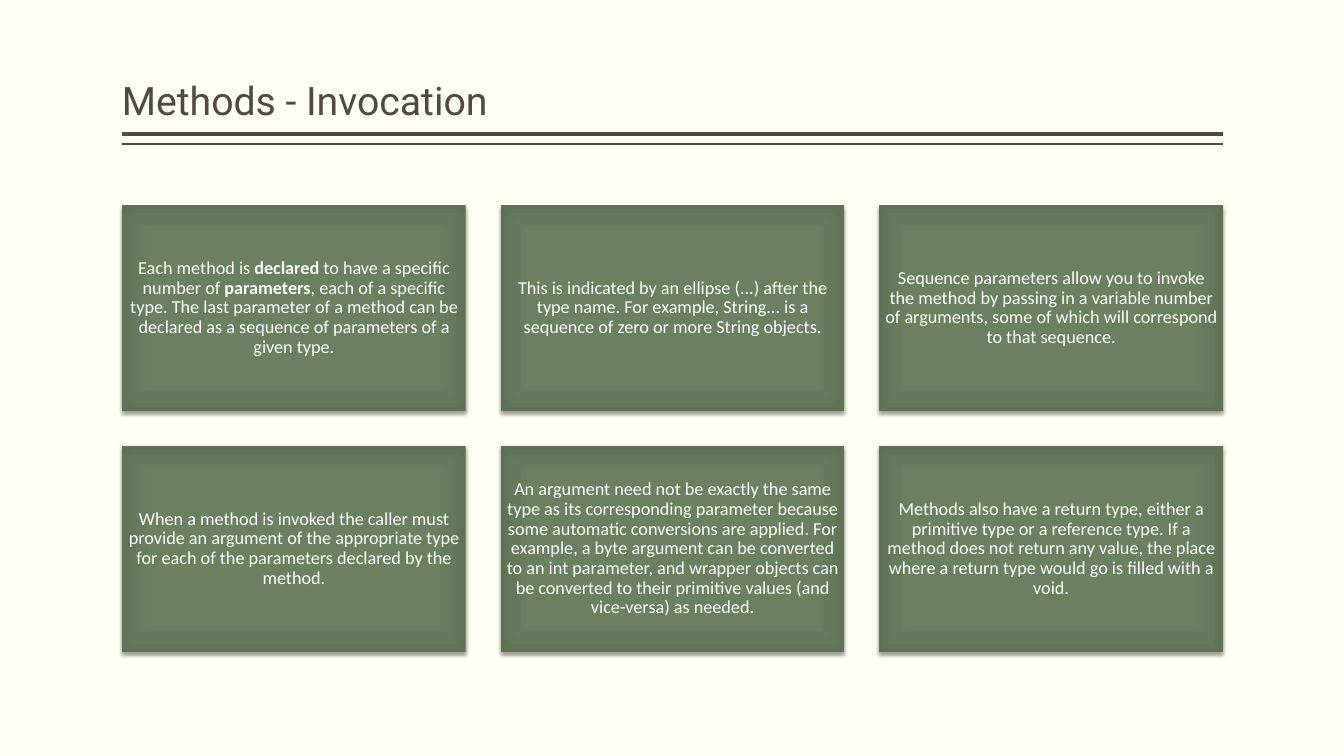
from pptx import Presentation
from pptx.dml.color import RGBColor
from pptx.enum.shapes import MSO_CONNECTOR, MSO_SHAPE
from pptx.enum.text import MSO_ANCHOR, MSO_AUTO_SIZE, PP_ALIGN
from pptx.oxml import parse_xml
from pptx.oxml.ns import nsdecls, qn
from pptx.util import Inches, Pt
from lxml.etree import SubElement

COLORS = {
    "paper": "FFFFF3", "ink": "514843", "white": "FFFFFF", "shadow": "000000",
    "center": "6B8162", "middle": "6A8061", "edge": "5F7256",
}
LEFT, WIDTH = 1.21, 10.92
GRID_TOP, CARD_W, CARD_H = 2.03, 3.41, 2.05
COLUMNS = 3
COL_STEP = (WIDTH - CARD_W) / (COLUMNS - 1)
ROW_STEP = 2.39

# Each card is a list of (text, bold) runs.
CARDS = [
    [("Each method is ", False), ("declared ", True),
     ("to have a specific number of ", False), ("parameters", True),
     (", each of a specific type. The last parameter of a method can be "
      "declared as a sequence of parameters of a given type.", False)],
    [("This is indicated by an ellipse (...) after the type name. For example, "
      "String... is a sequence of zero or more String objects.", False)],
    [("Sequence parameters allow you to invoke the method by passing in a "
      "variable number of arguments, some of which will correspond to that "
      "sequence.", False)],
    [("When a method is invoked the caller must provide an argument of the "
      "appropriate type for each of the parameters declared by the method.", False)],
    [("An argument need not be exactly the same type as its corresponding "
      "parameter because some automatic conversions are applied. For example, "
      "a byte argument can be converted to an int parameter, and wrapper "
      "objects can be converted to their primitive values (and vice-versa) "
      "as needed.", False)],
    [("Methods also have a return type, either a primitive type or a reference "
      "type. If a method does not return any value, the place where a return "
      "type would go is filled with a void.", False)],
]


def rgb(name):
    return RGBColor.from_string(COLORS[name])


class Deck:
    def __init__(self):
        self.prs = Presentation()
        self.prs.slide_width, self.prs.slide_height = Inches(13.33), Inches(7.5)
        self.slide = None

    def add_slide(self):
        self.slide = self.prs.slides.add_slide(self.prs.slide_layouts[5])
        fill = self.slide.background.fill
        fill.solid()
        fill.fore_color.rgb = rgb("paper")

    def add_run(self, p, text, font, size, color, bold=False):
        r = p.add_run()
        r.text = text
        r.font.name, r.font.size, r.font.bold = font, Pt(size), bold
        r.font.color.rgb = rgb(color)

    def frame(self, tf, anchor, inset_x):
        """Set wrapping, anchor and insets, and return the first paragraph."""
        tf.word_wrap, tf.auto_size = True, MSO_AUTO_SIZE.NONE
        tf.vertical_anchor = anchor
        tf.margin_left = tf.margin_right = Inches(inset_x)
        tf.margin_top = tf.margin_bottom = Inches(0.05)
        p = tf.paragraphs[0]
        p.line_spacing = 0.9
        return p

    def title(self, text):
        sp = self.slide.shapes.title
        sp.left, sp.top = Inches(LEFT), Inches(0.08)
        sp.width, sp.height = Inches(WIDTH), Inches(1.2)
        p = self.frame(sp.text_frame, MSO_ANCHOR.BOTTOM, 0)
        p.alignment = PP_ALIGN.LEFT
        self.add_run(p, text, "Roboto", 28, "ink")

    def rule(self, y, weight):
        line = self.slide.shapes.add_connector(
            MSO_CONNECTOR.STRAIGHT, Inches(LEFT + WIDTH), Inches(y),
            Inches(LEFT), Inches(y))
        line.line.color.rgb = rgb("ink")
        line.line.width = Pt(weight)
        SubElement(line._element.spPr, qn("a:effectLst"))

    def card(self, col, row, runs):
        sp = self.slide.shapes.add_shape(
            MSO_SHAPE.RECTANGLE, Inches(LEFT + col * COL_STEP),
            Inches(GRID_TOP + row * ROW_STEP), Inches(CARD_W), Inches(CARD_H))
        sp.line.fill.background()
        self.glow_fill(sp)
        self.drop_shadow(sp)
        p = self.frame(sp.text_frame, MSO_ANCHOR.MIDDLE, 0.05)
        p.alignment = PP_ALIGN.CENTER
        for text, bold in runs:
            self.add_run(p, text, "Calibri", 13, "white", bold)

    def glow_fill(self, sp):
        """Fill with a rectangular gradient that darkens towards the edges."""
        stops = "".join(
            f'<a:gs pos="{pos * 1000}"><a:srgbClr val="{COLORS[name]}"/></a:gs>'
            for pos, name in ((0, "center"), (71, "middle"), (100, "edge")))
        sp.fill.background()
        spPr = sp._element.spPr
        spPr.replace(spPr.find(qn("a:noFill")), parse_xml(
            f'<a:gradFill {nsdecls("a")} rotWithShape="1"><a:gsLst>{stops}</a:gsLst>'
            '<a:path path="rect"><a:fillToRect l="50000" t="50000" r="50000" '
            'b="50000"/></a:path></a:gradFill>'))

    def drop_shadow(self, sp):
        sp.shadow.inherit = False
        sp._element.spPr.find(qn("a:effectLst")).append(parse_xml(
            f'<a:outerShdw {nsdecls("a")} blurRad="{Pt(3.1)}" dist="{Pt(2)}" '
            f'dir="5400000" rotWithShape="0"><a:srgbClr val="{COLORS["shadow"]}">'
            '<a:alpha val="38000"/></a:srgbClr></a:outerShdw>'))


def main():
    deck = Deck()
    deck.add_slide()
    deck.rule(1.33, 3)
    deck.rule(1.43, 1)
    deck.title("Methods - Invocation")
    for i, runs in enumerate(CARDS):
        row, col = divmod(i, COLUMNS)
        deck.card(col, row, runs)
    deck.prs.save("out.pptx")


if __name__ == "__main__":
    main()
